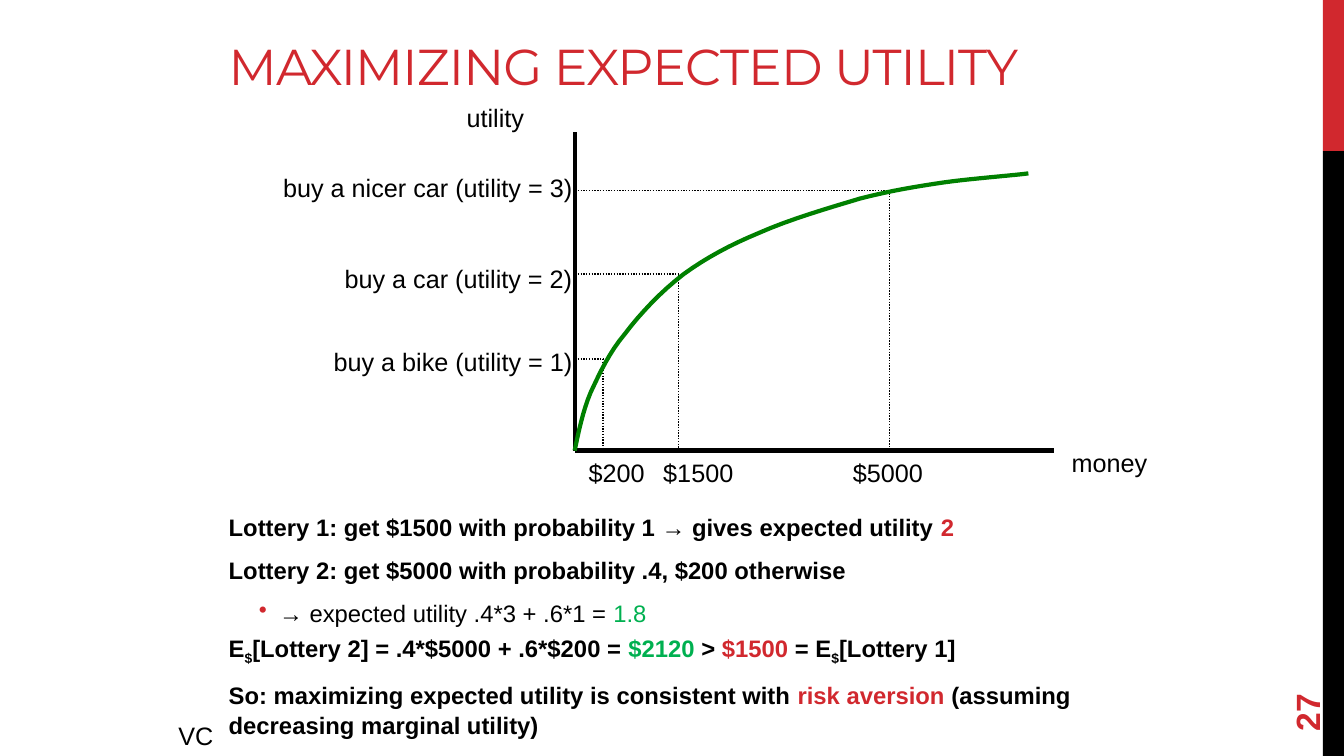
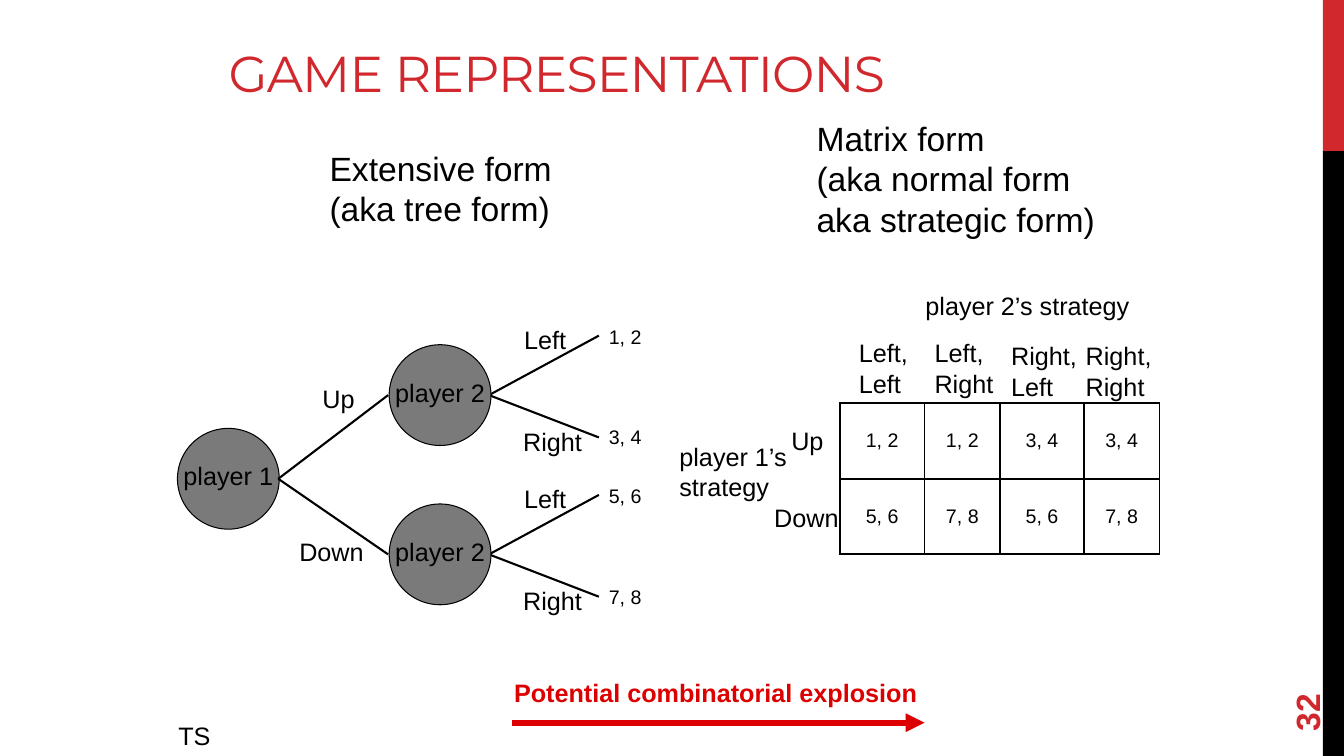
from lxml import etree
from pptx import Presentation
from pptx.dml.color import RGBColor
from pptx.enum.dml import MSO_LINE
from pptx.enum.shapes import MSO_CONNECTOR, MSO_SHAPE
from pptx.enum.text import MSO_ANCHOR, PP_ALIGN
from pptx.oxml.ns import qn
from pptx.util import Inches, Pt

STRAIGHT = MSO_CONNECTOR.STRAIGHT
RECTANGLE, OVAL = MSO_SHAPE.RECTANGLE, MSO_SHAPE.OVAL
DOTTED = MSO_LINE.ROUND_DOT
TOP, MIDDLE, BOTTOM = MSO_ANCHOR.TOP, MSO_ANCHOR.MIDDLE, MSO_ANCHOR.BOTTOM
CENTER = PP_ALIGN.CENTER

RED = RGBColor(0xD1, 0x28, 0x2E)
BLACK = RGBColor(0, 0, 0)
GREEN = RGBColor(0, 0xB0, 0x50)
CURVE_GREEN = RGBColor(0, 0x80, 0)
NODE_GREY = RGBColor(0x7A, 0x7A, 0x7A)
WARNING_RED = RGBColor(0xDC, 0, 0)
BODY_FONT, TITLE_FONT = "Arial", "Montserrat"

UTILITY_CURVE = [
    ((0.04, -0.19), (0.08, -0.39), (0.16, -0.58)),
    ((0.25, -0.77), (0.34, -0.97), (0.5, -1.16)),
    ((0.65, -1.36), (0.86, -1.58), (1.08, -1.75)),
    ((1.3, -1.91), (1.54, -2.04), (1.83, -2.16)),
    ((2.12, -2.29), (2.53, -2.41), (2.83, -2.5)),
    ((3.14, -2.58), (3.39, -2.62), (3.66, -2.66)),
    ((3.94, -2.7), (4.36, -2.73), (4.5, -2.75)),
]
CURVE_STEPS = 8

PURCHASES = [
    ("buy a bike (utility = 1)", 2.57, -1.08, 0.28, -0.91, "$200", 0.76, 0.04),
    ("buy a car (utility = 2)", 2.46, -1.91, 1.03, -1.75, "$1500", 0.9, 0.78),
    ("buy a nicer car (utility = 3)", 3.07, -2.81, 3.12, -2.58, "$5000", 0.9, 2.66),
]

LOTTERIES = [
    [("Lottery 1: get $1500 with probability 1 → gives expected utility ", BLACK), ("2", RED)],
    [("Lottery 2: get $5000 with probability .4, $200 otherwise", BLACK)],
    [("→ expected utility .4*3 + .6*1 = ", BLACK), ("1.8", GREEN)],
    [("E", BLACK), ("$", BLACK), ("[Lottery 2] = .4*$5000 + .6*$200 = ", BLACK),
     ("$2120", GREEN), (" > ", BLACK), ("$1500", RED), (" = E", BLACK),
     ("$", BLACK), ("[Lottery 1]", BLACK)],
    [("So: maximizing expected utility is consistent with ", BLACK),
     ("risk aversion", RED), (" (assuming decreasing marginal utility)", BLACK)],
]
EXPECTATION_BULLET = 2

COLUMN_WIDTHS = [0.84, 0.75, 0.83, 0.75]
ROW_HEIGHT = 0.75
PAYOFFS = [["1, 2", "1, 2", "3, 4", "3, 4"], ["5, 6", "7, 8", "5, 6", "7, 8"]]
STRATEGIES = [
    (["Left,", "Left"], 0.09, -0.7, 0.69),
    (["Left,", "Right"], 0.84, -0.7, 0.79),
    (["Right,", "Left"], 1.6, -0.67, 0.86),
    (["Right,", "Right"], 2.34, -0.67, 0.86),
]


def add_run(paragraph, text, size, color=BLACK, bold=False, font=BODY_FONT):
    """Append a styled run to a paragraph."""
    run = paragraph.add_run()
    run.text = text
    run.font.size = Pt(size)
    run.font.name = font
    run.font.bold = bold
    run.font.color.rgb = color
    return run


def add_box(slide, left, top, width, height, anchor=TOP, wrap=True):
    """Add an empty text box."""
    box = slide.shapes.add_textbox(Inches(left), Inches(top), Inches(width), Inches(height))
    box.text_frame.word_wrap = wrap
    box.text_frame.vertical_anchor = anchor
    return box


def add_label(slide, lines, left, top, width, size=18, color=BLACK, bold=False):
    """Add an unwrapped label with one paragraph per line."""
    height = 0.1 + len(lines) * size / 60
    frame = add_box(slide, left, top, width, height, wrap=False).text_frame
    for number, line in enumerate(lines):
        paragraph = frame.add_paragraph() if number else frame.paragraphs[0]
        add_run(paragraph, line, size, color, bold)


def add_line(slide, start, end, weight, color=BLACK, dash=None, arrow=False):
    """Draw a straight line between two points."""
    line = slide.shapes.add_connector(STRAIGHT, *map(Inches, start + end))
    line.line.color.rgb = color
    line.line.width = Pt(weight)
    if dash is not None:
        line.line.dash_style = dash
    properties = line._element.spPr
    if arrow:
        etree.SubElement(properties.find(qn("a:ln")), qn("a:tailEnd"), type="triangle")
    etree.SubElement(properties, qn("a:effectLst"))


def add_filled(slide, preset, left, top, width, height, color):
    """Add a flat filled shape without an outline."""
    shape = slide.shapes.add_shape(preset, *map(Inches, (left, top, width, height)))
    shape.shadow.inherit = False
    shape.fill.solid()
    shape.fill.fore_color.rgb = color
    shape.line.fill.background()
    return shape


def add_framed_slide(deck, title, title_box, number, initials):
    """Start a slide with its side bands, title, page number and initials."""
    slide = deck.slides.add_slide(deck.slide_layouts[6])
    add_filled(slide, RECTANGLE, 13.12, 0, 0.21, 1.5, RED)
    add_filled(slide, RECTANGLE, 13.12, 1.5, 0.21, 6, BLACK)
    heading = add_box(slide, *title_box, BOTTOM).text_frame
    heading.margin_bottom = Inches(0.03)
    heading_run = add_run(heading.paragraphs[0], title, 36, RED, font=TITLE_FONT)
    heading_run._r.get_or_add_rPr().set("spc", "-60")
    page = add_box(slide, 12.24, 6.37, 1.44, 0.53, MIDDLE)
    page.rotation = 270
    add_run(page.text_frame.paragraphs[0], number, 24, RED, True)
    add_label(slide, [initials], 1.67, 7.1, 0.56)
    return slide


def curve_points(segments):
    """Yield points along joined cubic curves that begin at the origin."""
    start = (0, 0)
    for first, second, end in segments:
        for step in range(1, CURVE_STEPS + 1):
            t = step / CURVE_STEPS
            u = 1 - t
            yield tuple(
                u ** 3 * a + 3 * u * u * t * b + 3 * u * t * t * c + t ** 3 * d
                for a, b, c, d in zip(start, first, second, end))
        start = end


def draw_utility_graph(slide, left, base):
    """Draw the utility graph from the origin of its axes."""
    add_line(slide, (left, base - 3.16), (left, base), 3)
    add_line(slide, (left, base), (left + 4.75, base), 3)
    add_label(slide, ["utility"], left - 1.17, base - 3.5, 0.77)
    add_label(slide, ["money"], left + 4.83, base - 0.08, 0.95)
    for purchase, width, label_y, x, y, price, price_width, price_x in PURCHASES:
        point = (left + x, base + y)
        add_line(slide, (left + 0.03, base + y), point, 1, dash=DOTTED)
        add_line(slide, point, (left + x, base), 1, dash=DOTTED)
        add_label(slide, [purchase], left + 0.08 - width, base + label_y, width)
        add_label(slide, [price], left + price_x, base + 0.02, price_width)
    builder = slide.shapes.build_freeform(Inches(left), Inches(base))
    builder.add_line_segments(
        [(Inches(left + x), Inches(base + y)) for x, y in curve_points(UTILITY_CURVE)],
        close=False)
    curve = builder.convert_to_shape()
    curve.shadow.inherit = False
    curve.fill.background()
    curve.line.color.rgb = CURVE_GREEN
    curve.line.width = Pt(3)


def write_lotteries(slide, left, top, width, height):
    """Write the comparison of the two lotteries."""
    frame = add_box(slide, left, top, width, height).text_frame
    for number, runs in enumerate(LOTTERIES):
        paragraph = frame.add_paragraph() if number else frame.paragraphs[0]
        is_bullet = number == EXPECTATION_BULLET
        if is_bullet:
            paragraph.level = 1
            properties = paragraph._p.get_or_add_pPr()
            properties.set("marL", str(Inches(0.5)))
            properties.set("indent", str(Inches(-0.2)))
            bullet_color = etree.SubElement(properties, qn("a:buClr"))
            etree.SubElement(bullet_color, qn("a:srgbClr"), val=str(RED))
            etree.SubElement(properties, qn("a:buChar"), char="•")
        paragraph.line_spacing = 1.05
        paragraph.space_before = Pt(3.4 if number else 0)
        paragraph.space_after = Pt(0 if is_bullet else 6)
        for text, color in runs:
            run = add_run(paragraph, text, 17, color, not is_bullet)
            if text == "$":
                run._r.get_or_add_rPr().set("baseline", "-25000")


def draw_player(slide, name, left, top):
    """Draw a decision node with the player's name."""
    node = add_filled(slide, OVAL, left, top, 1.01, 1, NODE_GREY)
    node.line.color.rgb = BLACK
    node.line.width = Pt(0.75)
    frame = node.text_frame
    frame.word_wrap = False
    frame.vertical_anchor = MIDDLE
    frame.margin_left = frame.margin_right = frame.margin_top = 0
    frame.margin_bottom = Inches(0.06)
    frame.paragraphs[0].alignment = CENTER
    add_run(frame.paragraphs[0], name, 18)


def draw_reply(slide, left, top, payoffs):
    """Draw player 2's node with its two branches and payoffs."""
    fork = (left + 0.99, top + 0.75)
    moves = [("Left", 1.24, 0, 0.62, 0.16), ("Right", 1.23, 1.01, 0.79, 1.17)]
    for row, (move, x, y, width, tip) in enumerate(moves):
        add_line(slide, fork, (left + 2.08, top + tip), 1.5)
        add_label(slide, [move], left + x, top + y, width)
        add_label(slide, [payoffs[row]], left + 2.08, top + row, 0.53, 14)
    draw_player(slide, "player 2", left, top + 0.25)


def draw_game_tree(slide, left, top):
    """Draw the extensive form of the game."""
    add_label(slide, ["Extensive form", "(aka tree form)"], left + 1.41, top, 2.52, 24)
    root = (left + 1, top + 3.33)
    draw_player(slide, "player 1", left, top + 2.83)
    for reply_top, payoffs in [(1.75, ["1, 2", "3, 4"]), (3.33, ["5, 6", "7, 8"])]:
        add_line(slide, root, (left + 2.09, top + reply_top + 0.75), 1.5)
        draw_reply(slide, left + 2.1, top + reply_top, payoffs)
    add_label(slide, ["Up"], left + 1.34, top + 2.33, 0.52)
    add_label(slide, ["Down"], left + 1.11, top + 3.85, 0.85)


def fill_payoff(cell, payoff):
    """Give a table cell its borders and centred payoff."""
    properties = cell._tc.get_or_add_tcPr()
    for side in ("a:lnL", "a:lnR", "a:lnT", "a:lnB"):
        border = etree.SubElement(properties, qn(side), w=str(Pt(1.5)))
        paint = etree.SubElement(border, qn("a:solidFill"))
        etree.SubElement(paint, qn("a:srgbClr"), val=str(BLACK))
    cell.fill.background()
    cell.vertical_anchor = MIDDLE
    cell.margin_left = cell.margin_right = 0
    paragraph = cell.text_frame.paragraphs[0]
    paragraph.alignment = CENTER
    add_run(paragraph, payoff, 14)


def draw_matrix(slide, left, top):
    """Draw the matrix form around its payoff table."""
    add_label(slide, ["Matrix form", "(aka normal form", "aka strategic form)"],
              left - 0.33, top - 2.88, 2.99, 24)
    add_label(slide, ["player 2’s strategy"], left + 0.75, top - 1.17, 2.32)
    add_label(slide, ["player 1’s", "strategy"], left - 1.69, top + 0.33, 1.27)
    add_label(slide, ["Up"], left - 0.58, top + 0.17, 0.52)
    add_label(slide, ["Down"], left - 0.75, top + 0.93, 0.85)
    for lines, x, y, width in STRATEGIES:
        add_label(slide, lines, left + x, top + y, width)
    table = slide.shapes.add_table(
        len(PAYOFFS), len(COLUMN_WIDTHS), Inches(left), Inches(top),
        Inches(sum(COLUMN_WIDTHS)), Inches(ROW_HEIGHT * len(PAYOFFS))).table
    table.first_row = table.horz_banding = False
    for column, width in zip(table.columns, COLUMN_WIDTHS):
        column.width = Inches(width)
    for row, payoffs in zip(table.rows, PAYOFFS):
        row.height = Inches(ROW_HEIGHT)
        for cell, payoff in zip(row.cells, payoffs):
            fill_payoff(cell, payoff)


def draw_warning(slide, left, top):
    """Draw the warning with the arrow below it."""
    add_label(slide, ["Potential combinatorial explosion"], left, top, 4.24,
              color=WARNING_RED, bold=True)
    add_line(slide, (left + 0.08, top + 0.5), (left + 4.17, top + 0.5), 4.5,
             WARNING_RED, arrow=True)


def main():
    """Build and save both slides."""
    deck = Presentation()
    deck.slide_width, deck.slide_height = Inches(13.33), Inches(7.5)
    utility = add_framed_slide(
        deck, "MAXIMIZING EXPECTED UTILITY", (2.17, 0.17, 9.18, 0.81), "27", "VC")
    draw_utility_graph(utility, 5.7, 4.47)
    write_lotteries(utility, 2.17, 5.02, 8.87, 2.04)
    games = add_framed_slide(
        deck, "GAME REPRESENTATIONS", (2.17, 0.17, 7.58, 0.88), "32", "TS")
    draw_game_tree(games, 1.76, 1.42)
    draw_matrix(games, 8.33, 4)
    draw_warning(games, 5, 6.67)
    deck.save("out.pptx")


if __name__ == "__main__":
    main()
